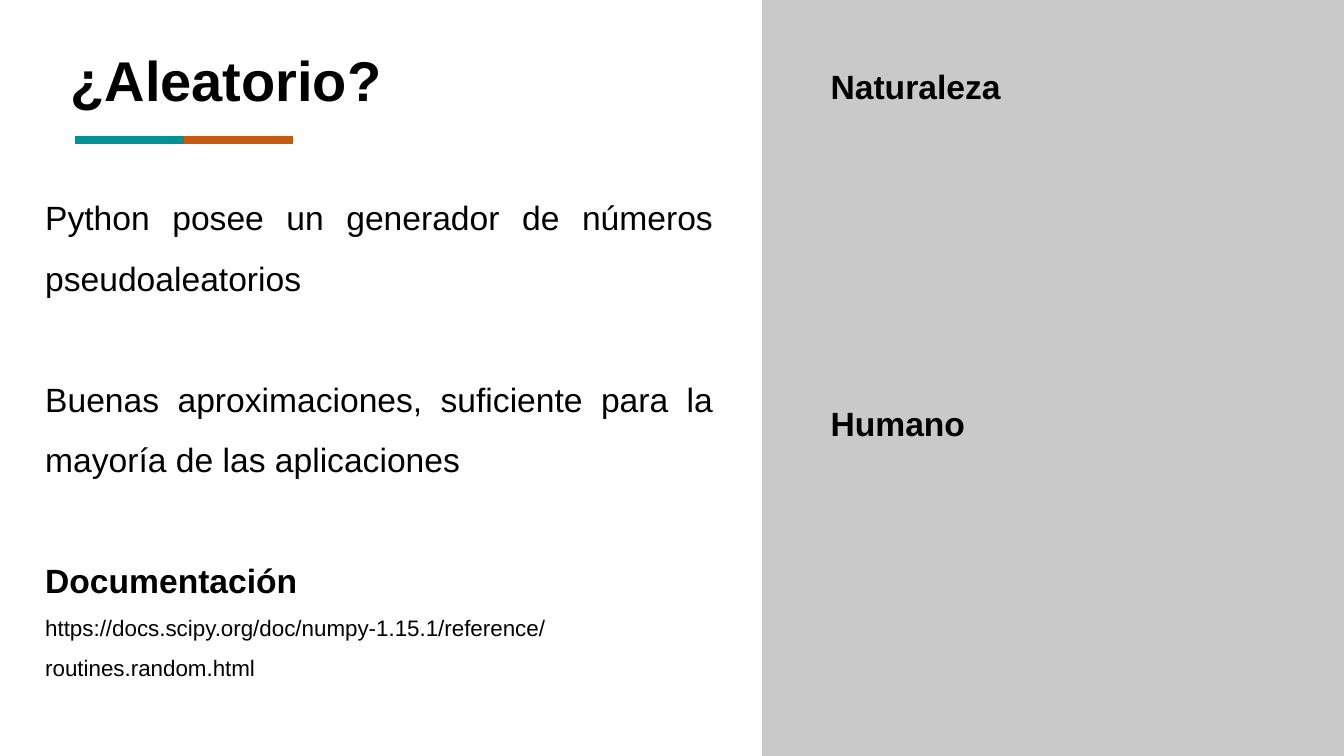
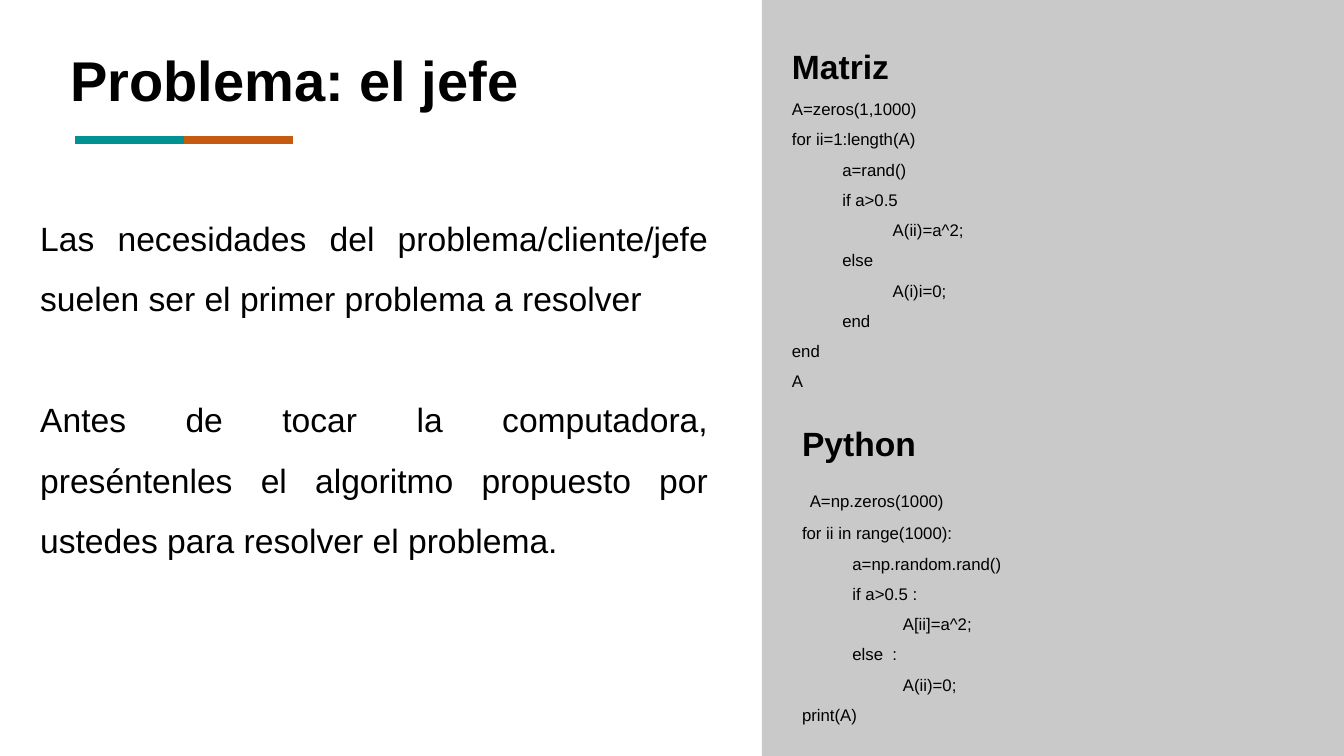
from lxml import etree
from pptx import Presentation
from pptx.dml.color import RGBColor
from pptx.enum.shapes import MSO_CONNECTOR, MSO_SHAPE
from pptx.enum.text import MSO_ANCHOR, MSO_AUTO_SIZE, PP_ALIGN
from pptx.oxml.ns import qn
from pptx.util import Inches, Pt

STRAIGHT = MSO_CONNECTOR.STRAIGHT
RECTANGLE = MSO_SHAPE.RECTANGLE
TOP = MSO_ANCHOR.TOP
NO_FIT = MSO_AUTO_SIZE.NONE
LEFT, JUSTIFY = PP_ALIGN.LEFT, PP_ALIGN.JUSTIFY

# Shared look: a grid of 32 columns by 18 rows
WIDTH, HEIGHT = Inches(13.33), Inches(7.5)
COLUMNS, ROWS = 32, 18
PANEL_LEFT = 18.14
BODY_WIDTH = 16.37
ACCENT_LEFT, ACCENT_ROW, ACCENT_LENGTH = 1.78, 3.34, 2.6
BLACK, GREY, TEAL, ORANGE = "000000", "C9C9C9", "009193", "C55A11"
TITLE = {"size": Pt(40), "bold": True}
HEADING = {"size": Pt(24), "bold": True}
BODY = {"size": Pt(24), "bold": False}
LINK = {"size": Pt(16), "bold": False}
CODE = {"size": Pt(12), "bold": False}
CODE_INDENT = {"size": Pt(20), "bold": False}
BODY_GAP = 43.2

MATRIX_CODE = [
    "A=zeros(1,1000)",
    "for ii=1:length(A)",
    "\ta=rand()",
    "\tif a>0.5",
    "\t\tA(ii)=a^2;",
    "\telse",
    "\t\tA(i)i=0;",
    "\tend",
    "end",
    "A",
]
PYTHON_CODE = [
    "for ii in range(1000):",
    "\ta=np.random.rand()",
    "\tif a>0.5 :",
    "\t\tA[ii]=a^2;",
    "\telse  :",
    "\t\tA(ii)=0;",
    "print(A)",
]


def color(hex_value):
    return RGBColor.from_string(hex_value)


def col(count):
    return round(WIDTH * count / COLUMNS)


def row(count):
    return round(HEIGHT * count / ROWS)


def add_run(paragraph, text, style):
    run = paragraph.add_run()
    run.text = text
    for name, value in {"name": "Arial", **style}.items():
        setattr(run.font, name, value)
    run.font.color.rgb = color(BLACK)


def prepare_frame(frame, wrap=True):
    settings = {"word_wrap": wrap, "vertical_anchor": TOP, "auto_size": NO_FIT}
    for name, value in settings.items():
        setattr(frame, name, value)


def add_text(slide, left, top, width, height, paragraphs, align=LEFT):
    """Each paragraph is (runs, space before, space after), spaces in points."""
    box = slide.shapes.add_textbox(col(left), row(top), col(width), row(height))
    frame = box.text_frame
    prepare_frame(frame)
    for index, (runs, before, after) in enumerate(paragraphs):
        paragraph = frame.add_paragraph() if index else frame.paragraphs[0]
        layout = {"alignment": align, "line_spacing": 1.5,
                  "space_before": Pt(before), "space_after": Pt(after)}
        for name, value in layout.items():
            setattr(paragraph, name, value)
        for text, style in runs:
            add_run(paragraph, text, style)


def line_of(text, style, before=0, after=0):
    return [(text, style)], before, after


def add_panel(slide):
    panel = slide.shapes.add_shape(
        RECTANGLE, col(PANEL_LEFT), 0, WIDTH - col(PANEL_LEFT), HEIGHT)
    panel.shadow.inherit = False
    panel.fill.solid()
    panel.fill.fore_color.rgb = color(GREY)
    panel.line.fill.background()


def add_accent(slide, start, hex_value):
    accent = slide.shapes.add_connector(
        STRAIGHT, col(start), row(ACCENT_ROW),
        col(start + ACCENT_LENGTH), row(ACCENT_ROW))
    accent.line.color.rgb = color(hex_value)
    accent.line.width = Pt(6)
    etree.SubElement(accent._element.spPr, qn("a:effectLst"))


def add_titled_slide(deck, text):
    slide = deck.slides.add_slide(deck.slide_layouts[5])
    add_panel(slide)
    title = slide.shapes.title
    place = {"left": col(1.44), "top": row(0.96),
             "width": col(16), "height": row(1.85)}
    for name, value in place.items():
        setattr(title, name, value)
    prepare_frame(title.text_frame, wrap=False)
    paragraph = title.text_frame.paragraphs[0]
    paragraph.alignment = LEFT
    add_run(paragraph, text, TITLE)
    for index, hex_value in enumerate((TEAL, ORANGE)):
        add_accent(slide, ACCENT_LEFT + index * ACCENT_LENGTH, hex_value)
    return slide


def build_random_slide(deck):
    slide = add_titled_slide(deck, "¿Aleatorio?")
    # Explanation and documentation link
    add_text(slide, 0.84, 4.1, BODY_WIDTH, 12.5, [
        line_of("Python posee un generador de números pseudoaleatorios", BODY),
        line_of("Buenas aproximaciones, suficiente para la mayoría de las "
                "aplicaciones", BODY, BODY_GAP),
        line_of("Documentación", HEADING, BODY_GAP),
        line_of("https://docs.scipy.org/doc/numpy-1.15.1/reference/"
                "routines.random.html", LINK),
    ], JUSTIFY)
    # Sources of randomness
    for top, source in ((0.96, "Naturaleza"), (9, "Humano")):
        add_text(slide, 19.54, top, 10.6, 1.56, [line_of(source, HEADING)])


def build_problem_slide(deck):
    slide = add_titled_slide(deck, "Problema: el jefe")
    # Advice
    add_text(slide, 0.72, 4.58, BODY_WIDTH, 8.83, [
        line_of("Las necesidades del problema/cliente/jefe suelen ser el "
                "primer problema a resolver", BODY),
        line_of("Antes de tocar la computadora, preséntenles el algoritmo "
                "propuesto por ustedes para resolver el problema.",
                BODY, BODY_GAP),
    ], JUSTIFY)
    # The algorithm in two languages
    add_text(slide, 18.62, 0.5, 12.4, 8.9, [
        line_of("Matriz", HEADING, after=1.7),
        *(line_of(code, CODE) for code in MATRIX_CODE),
    ])
    add_text(slide, 18.86, 9.46, 12.4, 8.5, [
        line_of("Python", HEADING),
        ([(" ", CODE_INDENT), ("A=np.zeros(1000)", CODE)], 0, 0),
        *(line_of(code, CODE) for code in PYTHON_CODE),
    ])


def main():
    deck = Presentation()
    deck.slide_width, deck.slide_height = WIDTH, HEIGHT
    build_random_slide(deck)
    build_problem_slide(deck)
    deck.save("out.pptx")


if __name__ == "__main__":
    main()
